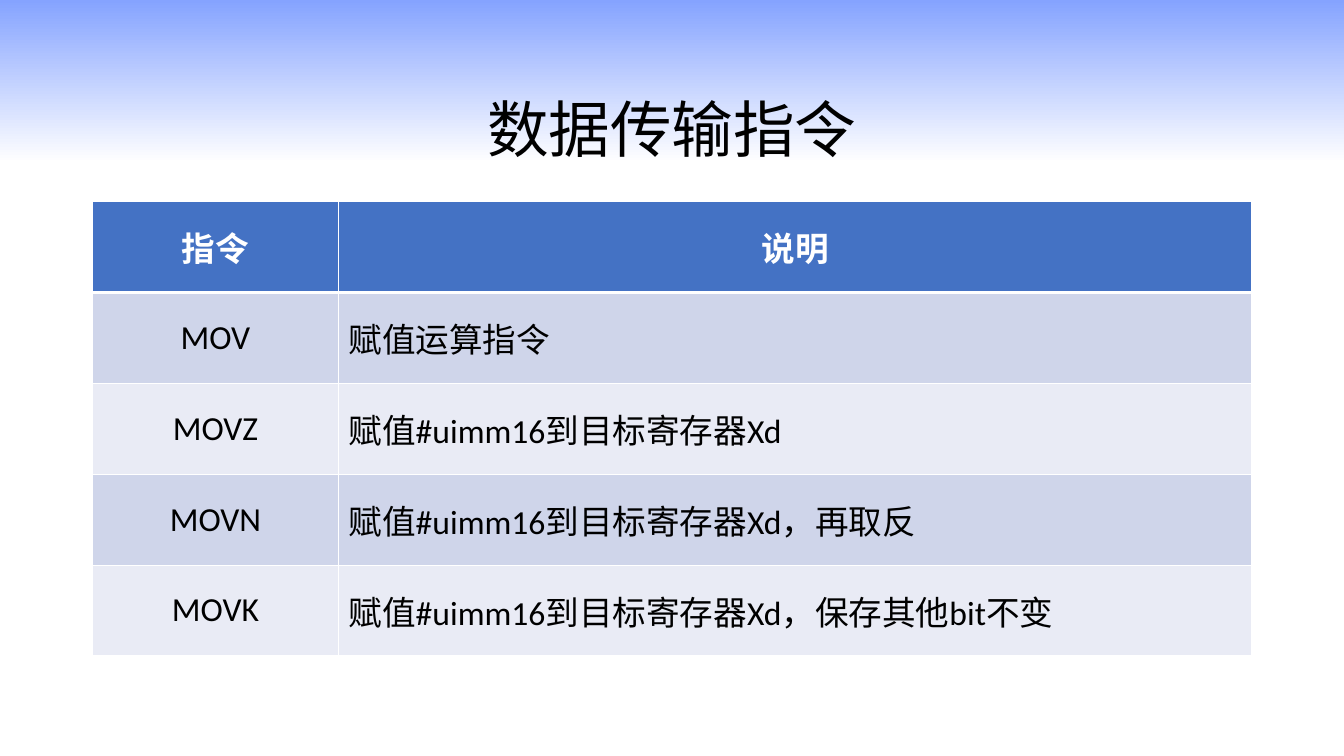
from dataclasses import dataclass

from lxml.etree import SubElement
from pptx import Presentation
from pptx.dml.color import RGBColor as RGB
from pptx.enum.shapes import MSO_SHAPE as Shape
from pptx.enum.text import MSO_ANCHOR as Anchor, PP_ALIGN as Align
from pptx.oxml.ns import qn
from pptx.util import Cm, Pt


@dataclass(frozen=True)
class Theme:
    sky: str = "85A3FF"
    white: str = "FFFFFF"
    ink: str = "000000"
    header: str = "4472C4"
    bands: tuple = ("CFD5EA", "E9EBF5")
    title_font: str = "Times New Roman"
    body_font: str = "Calibri"
    title_size: int = 44
    body_size: int = 24
    rule: int = 1
    header_rule: int = 3


class SlideBuilder:
    def __init__(self, slide, theme):
        self.slide = slide
        self.theme = theme

    def add_text(self, paragraph, text, font, size, color, align, bold=False):
        paragraph.alignment = align
        run = paragraph.add_run()
        run.text = text
        run.font.name = font
        run.font.size = Pt(size)
        run.font.bold = bold
        run.font.color.rgb = RGB.from_string(color)

    def banner(self, width, height):
        banner = self.slide.shapes.add_shape(Shape.RECTANGLE, 0, 0, Cm(width), Cm(height))
        banner.shadow.inherit = False
        banner.line.fill.background()
        banner.fill.gradient()
        banner.fill.gradient_angle = 270
        for stop, color in zip(banner.fill.gradient_stops, (self.theme.sky, self.theme.white)):
            stop.color.rgb = RGB.from_string(color)

    def title(self, text, left, top, width, height):
        frame = self.slide.shapes.add_textbox(Cm(left), Cm(top), Cm(width), Cm(height)).text_frame
        frame.word_wrap = True
        frame.vertical_anchor = Anchor.MIDDLE
        heading = frame.paragraphs[0]
        heading.line_spacing = 0.9
        self.add_text(heading, text, self.theme.title_font, self.theme.title_size,
                      self.theme.ink, Align.CENTER)

    def border(self, cell, side, points):
        line = SubElement(cell._tc.get_or_add_tcPr(), qn(f"a:ln{side}"), w=str(Pt(points)))
        fill = SubElement(line, qn("a:solidFill"))
        SubElement(fill, qn("a:srgbClr"), val=self.theme.white)

    def cell(self, cell, text, row, column):
        theme = self.theme
        is_header = row == 0
        thickness = {
            "L": theme.rule,
            "R": theme.rule,
            "T": theme.header_rule if row == 1 else theme.rule,
            "B": theme.header_rule if is_header else theme.rule,
        }
        for side, points in thickness.items():
            self.border(cell, side, points)
        cell.fill.solid()
        background = theme.header if is_header else theme.bands[(row - 1) % 2]
        cell.fill.fore_color.rgb = RGB.from_string(background)
        cell.vertical_anchor = Anchor.MIDDLE
        self.add_text(cell.text_frame.paragraphs[0], text, theme.body_font, theme.body_size,
                      theme.white if is_header else theme.ink,
                      Align.CENTER if is_header or column == 0 else Align.LEFT, is_header)

    def table(self, rows, left, top, widths, row_height):
        table = self.slide.shapes.add_table(
            len(rows), len(widths), Cm(left), Cm(top),
            Cm(sum(widths)), Cm(row_height * len(rows))).table
        for column, width in zip(table.columns, widths):
            column.width = Cm(width)
        for row, texts in enumerate(rows):
            table.rows[row].height = Cm(row_height)
            for column, text in enumerate(texts):
                self.cell(table.cell(row, column), text, row, column)


INSTRUCTIONS = [
    ("指令", "说明"),
    ("MOV", "赋值运算指令"),
    ("MOVZ", "赋值#uimm16到目标寄存器Xd"),
    ("MOVN", "赋值#uimm16到目标寄存器Xd，再取反"),
    ("MOVK", "赋值#uimm16到目标寄存器Xd，保存其他bit不变"),
]


def main():
    deck = Presentation()
    deck.slide_width = Cm(33.87)
    deck.slide_height = Cm(19.05)
    builder = SlideBuilder(deck.slides.add_slide(deck.slide_layouts[6]), Theme())
    builder.banner(33.87, 4.11)
    builder.title("数据传输指令", 2.33, 2.24, 29.21, 2.18)
    builder.table(INSTRUCTIONS, 2.33, 5.08, (6.2, 23.01), 2.29)
    deck.save("out.pptx")


if __name__ == "__main__":
    main()
